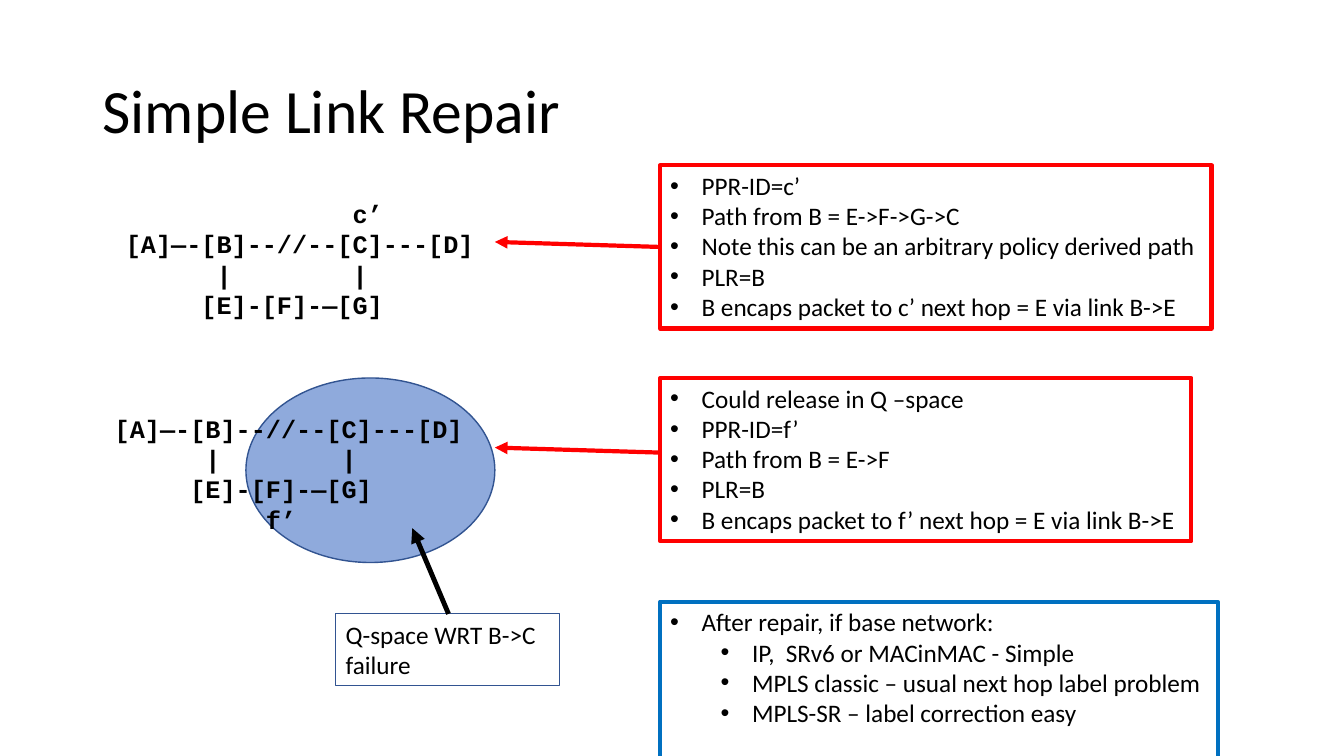
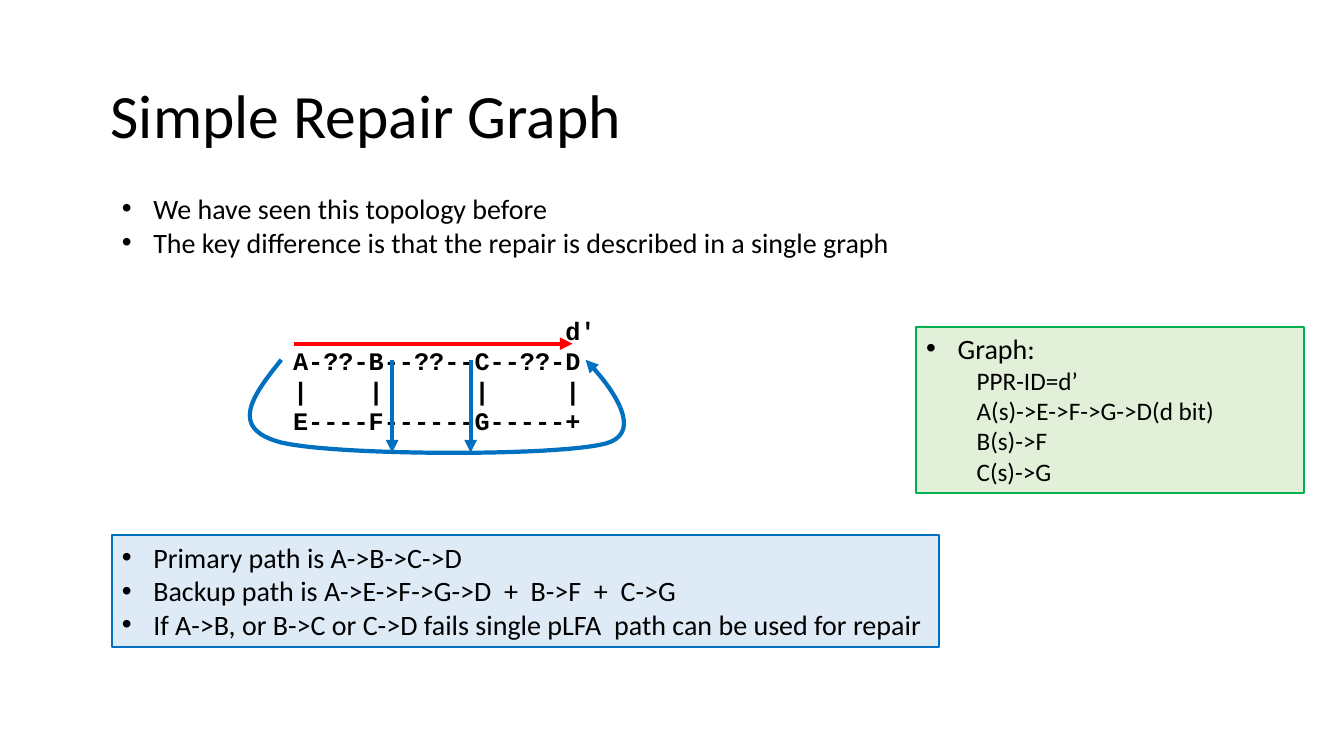
from dataclasses import dataclass
from typing import Optional

from lxml import etree
from pptx import Presentation
from pptx.dml.color import RGBColor
from pptx.enum.shapes import MSO_CONNECTOR, MSO_SHAPE
from pptx.enum.text import MSO_ANCHOR
from pptx.oxml.ns import qn
from pptx.slide import Slide
from pptx.util import Pt

STRAIGHT = MSO_CONNECTOR.STRAIGHT
ELLIPSE = MSO_SHAPE.OVAL
MIDDLE = MSO_ANCHOR.MIDDLE
TOP = MSO_ANCHOR.TOP

BLACK = RGBColor(0x00, 0x00, 0x00)
RED = RGBColor(0xFF, 0x00, 0x00)
BLUE = RGBColor(0x00, 0x70, 0xC0)
GREEN = RGBColor(0x00, 0xB0, 0x50)
NAVY = RGBColor(0x32, 0x54, 0x91)
Q_SPACE_BLUE = RGBColor(0x8F, 0xAA, 0xDC)
PALE_BLUE = RGBColor(0xDE, 0xEB, 0xF7)
PALE_GREEN = RGBColor(0xE2, 0xF0, 0xD9)

BODY_FONT = "Calibri"
DIAGRAM_FONT = "Courier New"
DIAGRAM_SIZE = 18
COLUMN_WIDTH = 0.6 * DIAGRAM_SIZE
HANGING = 22.5
INSET = 3.6
CURVE_STEPS = 24

Point = tuple[float, float]


@dataclass(frozen=True)
class Line:
    text: str
    size: float = 18
    left: float = 0
    bullet: bool = False
    level: int = 0
    font: str = BODY_FONT
    bold: bool = False


@dataclass(frozen=True)
class Box:
    left: float
    top: float
    width: float
    height: float
    lines: list[Line]
    outline: Optional[RGBColor] = None
    weight: float = 0
    fill: Optional[RGBColor] = None
    top_inset: float = INSET
    anchor: MSO_ANCHOR = TOP
    spacing: float = 1.0


@dataclass(frozen=True)
class Arrow:
    start: Point
    end: Point
    color: RGBColor
    weight: float = 3


def bullets(texts: list[str], size: float = 18, level: int = 0) -> list[Line]:
    left = HANGING + 36 * level
    return [Line(text, size, left, True, level) for text in texts]


def diagram(rows: list[tuple[int, str]]) -> list[Line]:
    return [
        Line(text, DIAGRAM_SIZE, column * COLUMN_WIDTH, font=DIAGRAM_FONT, bold=True)
        for column, text in rows
    ]


def title_box(text: str, left: float, top: float) -> Box:
    return Box(left, top, 828, 104.4, [Line(text, 44)], anchor=MIDDLE, spacing=0.9)


def draw_box(page: Slide, box: Box) -> None:
    shape = page.shapes.add_textbox(
        Pt(box.left), Pt(box.top), Pt(box.width), Pt(box.height)
    )
    if box.fill is not None:
        shape.fill.solid()
        shape.fill.fore_color.rgb = box.fill
    if box.outline is not None:
        shape.line.color.rgb = box.outline
        shape.line.width = Pt(box.weight)
    frame = shape.text_frame
    frame.word_wrap = True
    frame.vertical_anchor = box.anchor
    frame.margin_top = Pt(box.top_inset)
    frame.margin_right = Pt(0)
    for index, line in enumerate(box.lines):
        para = frame.add_paragraph() if index else frame.paragraphs[0]
        para.level = line.level
        para.line_spacing = box.spacing
        properties = para._p.get_or_add_pPr()
        properties.set("marL", str(Pt(line.left)))
        properties.set("indent", str(Pt(-HANGING if line.bullet else 0)))
        if line.bullet:
            etree.SubElement(properties, qn("a:buFont"), typeface="Arial")
            etree.SubElement(properties, qn("a:buChar"), char="•")
        else:
            etree.SubElement(properties, qn("a:buNone"))
        span = para.add_run()
        span.text = line.text
        span.font.name = line.font
        span.font.size = Pt(line.size)
        span.font.bold = line.bold
        span.font.color.rgb = BLACK


def add_arrowhead(shape) -> None:
    outline = shape._element.spPr.find(qn("a:ln"))
    etree.SubElement(outline, qn("a:tailEnd"), type="triangle")


def draw_arrow(page: Slide, arrow: Arrow) -> None:
    ends = [Pt(value) for value in arrow.start + arrow.end]
    connector = page.shapes.add_connector(STRAIGHT, *ends)
    connector.line.color.rgb = arrow.color
    connector.line.width = Pt(arrow.weight)
    add_arrowhead(connector)
    etree.SubElement(connector._element.spPr, qn("a:effectLst"))


def draw_ellipse(
    page: Slide, left: float, top: float, width: float, height: float
) -> None:
    ellipse = page.shapes.add_shape(ELLIPSE, Pt(left), Pt(top), Pt(width), Pt(height))
    ellipse.shadow.inherit = False
    ellipse.fill.solid()
    ellipse.fill.fore_color.rgb = Q_SPACE_BLUE
    ellipse.line.color.rgb = NAVY
    ellipse.line.width = Pt(1)


def bezier(points: list[Point], t: float) -> Point:
    while len(points) > 1:
        points = [
            (ax + (bx - ax) * t, ay + (by - ay) * t)
            for (ax, ay), (bx, by) in zip(points, points[1:])
        ]
    return points[0]


def draw_curved_arrow(
    page: Slide, controls: list[Point], color: RGBColor, weight: float
) -> None:
    trail = [
        bezier(controls[first : first + 4], step / CURVE_STEPS)
        for first in range(0, len(controls) - 1, 3)
        for step in range(1, CURVE_STEPS + 1)
    ]
    start_x, start_y = controls[0]
    builder = page.shapes.build_freeform(Pt(start_x), Pt(start_y))
    builder.add_line_segments([(Pt(x), Pt(y)) for x, y in trail], close=False)
    curve = builder.convert_to_shape()
    curve.shadow.inherit = False
    curve.fill.background()
    curve.line.color.rgb = color
    curve.line.width = Pt(weight)
    add_arrowhead(curve)


def draw_page(page: Slide, boxes: list[Box], arrows: list[Arrow]) -> None:
    for box in boxes:
        draw_box(page, box)
    for arrow in arrows:
        draw_arrow(page, arrow)


def build_link_repair(page: Slide) -> None:
    network = [
        (0, "[A]—-[B]--//--[C]---[D]"),
        (6, "|        |"),
        (5, "[E]-[F]-—[G]"),
    ]
    policy_path = bullets([
        "PPR-ID=c’",
        "Path from B = E->F->G->C",
        "Note this can be an arbitrary policy derived path",
        "PLR=B",
        "B encaps packet to c’ next hop = E via link B->E",
    ])
    q_space_path = bullets([
        "Could release in Q –space",
        "PPR-ID=f’",
        "Path from B = E->F",
        "PLR=B",
        "B encaps packet to f’ next hop = E via link B->E",
    ])
    after_repair = bullets(["After repair, if base network:"]) + bullets([
        "IP,  SRv6 or MACinMAC - Simple",
        "MPLS classic – usual next hop label problem",
        "MPLS-SR – label correction easy",
    ], level=1)
    q_space_label = [Line("Q-space WRT B->C"), Line("failure")]
    height = 116.6
    notes_left = 471.6
    draw_ellipse(page, 175.7, 270, 177.8, 131.8)
    draw_page(page, [
        title_box("Simple Link Repair", 66.2, 28.8),
        Box(82.8, 138.2, 264.2, height, diagram([(15, "c’")] + network)),
        Box(notes_left, 118.1, 393.8, height, policy_path, RED, 3),
        Box(74.9, 270, 264.2, height, diagram(network + [(10, "f’")]), top_inset=25.1),
        Box(notes_left, 270, 379.4, height, q_space_path, RED, 3),
        Box(239.8, 438.5, 159.8, 51.1, q_space_label, NAVY, 0.75),
        Box(notes_left, 429.8, 398.2, height, after_repair, BLUE, 3),
    ], [
        Arrow((320.4, 438.5), (294.5, 377.3), BLACK, 3.5),
        Arrow((notes_left, 176.4), (353.5, 172.8), RED),
        Arrow((notes_left, 323.3), (353.5, 319.7), RED),
    ])


def build_repair_graph(page: Slide) -> None:
    topology = diagram([
        (21, "d'"),
        (3, "A-??-B--??--C--??-D"),
        (3, "|    |      |     |"),
        (3, "E----F------G-----+"),
    ])
    paths = bullets([
        "Primary path is A->B->C->D",
        "Backup path is A->E->F->G->D  +  B->F  +  C->G",
        "If A->B, or B->C or C->D fails single pLFA  path can be used for repair",
    ], 20)
    introduction = bullets([
        "We have seen this topology before",
        "The key difference is that the repair is described in a single graph",
    ], 20)
    graph = bullets(["Graph:"], 20) + [
        Line(text, left=36, level=1)
        for text in ("PPR-ID=d’", "A(s)->E->F->G->D(d bit)", "B(s)->F", "C(s)->G")
    ]
    backup_curve = [
        (200.9, 257), (181.4, 281.5), (162, 306), (200.9, 316.1),
        (239.8, 325.4), (396.7, 326.2), (432.7, 316.8),
        (468.7, 306.7), (418.3, 257), (418.3, 257),
    ]
    draw_page(page, [
        title_box("Simple Repair Graph", 72, 32.4),
        Box(169.9, 199.4, 480.2, 116.6, topology, top_inset=25.6),
        Box(79.9, 382.3, 591.1, 79.9, paths, BLUE, 1.5, PALE_BLUE),
        Box(79.9, 133.2, 568.1, 55.4, introduction),
        Box(654.5, 233.3, 277.2, 118.8, graph, GREEN, 1.5, PALE_GREEN),
    ], [
        Arrow((210.2, 245.5), (409, 245.5), RED),
        *(Arrow((x, 257.4), (x, 323.3), BLUE) for x in (280.1, 336.2)),
    ])
    draw_curved_arrow(page, backup_curve, BLUE, 3)


deck = Presentation()
deck.slide_width = Pt(960)
deck.slide_height = Pt(540)
blank = deck.slide_layouts[6]
for build in (build_link_repair, build_repair_graph):
    build(deck.slides.add_slide(blank))
deck.save("out.pptx")
